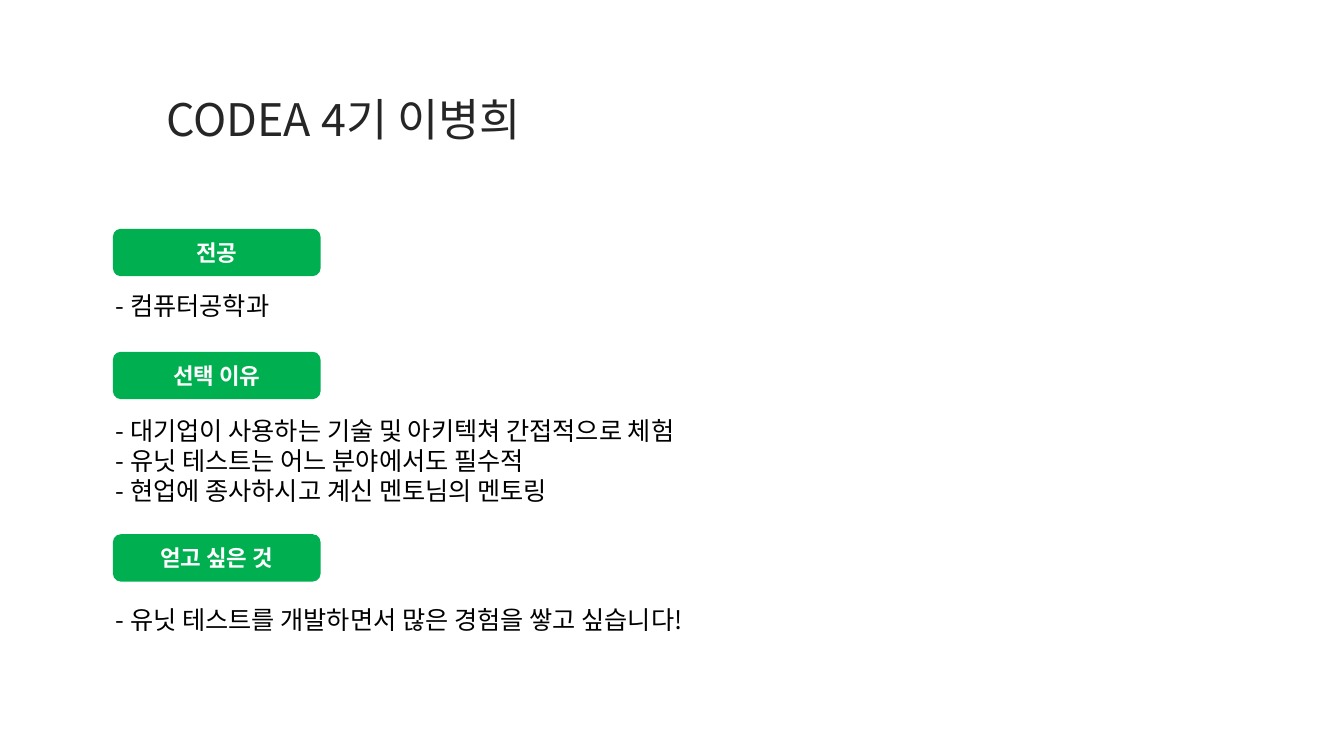
from pptx import Presentation
from pptx.dml.color import RGBColor
from pptx.enum.shapes import MSO_SHAPE
from pptx.enum.text import MSO_ANCHOR, PP_ALIGN
from pptx.oxml.ns import qn
from pptx.util import Inches, Pt

ROUNDED = MSO_SHAPE.ROUNDED_RECTANGLE
MIDDLE, TOP = MSO_ANCHOR.MIDDLE, MSO_ANCHOR.TOP
LEFT, CENTER = PP_ALIGN.LEFT, PP_ALIGN.CENTER

FONT = "Noto Sans CJK KR"
GREEN, WHITE, BLACK, DARK = "00B050", "FFFFFF", "000000", "262626"

TITLE = "CODEA 4기 이병희"
# heading, heading top, list top, list width, list height, items
SECTIONS = [
    ("전공", 2.27, 2.83, 4.75, 0.4, ["컴퓨터공학과"]),
    ("선택 이유", 3.49, 4.07, 11.51, 1.01, [
        "대기업이 사용하는 기술 및 아키텍쳐 간접적으로 체험",
        "유닛 테스트는 어느 분야에서도 필수적",
        "현업에 종사하시고 계신 멘토님의 멘토링",
    ]),
    ("얻고 싶은 것", 5.3, 5.95, 9.74, 0.4,
     ["유닛 테스트를 개발하면서 많은 경험을 쌓고 싶습니다!"]),
]
HEADING_LEFT, HEADING_WIDTH, HEADING_HEIGHT = 1.12, 2.06, 0.47
LIST_LEFT = 1.05


def color(value):
    return RGBColor.from_string(value)


def write(shape, lines, size, ink, bold=False, align=LEFT, anchor=TOP, spacing=None):
    frame = shape.text_frame
    frame.word_wrap = True
    frame.vertical_anchor = anchor
    for index, line in enumerate(lines):
        paragraph = frame.add_paragraph() if index else frame.paragraphs[0]
        paragraph.alignment = align
        if spacing:
            paragraph.line_spacing = Pt(spacing)
        run = paragraph.add_run()
        run.text = line
        font = run.font
        font.name, font.size, font.bold = FONT, Pt(size), bold
        font.color.rgb = color(ink)
        east_asian = run._r.get_or_add_rPr().makeelement(qn("a:ea"), {"typeface": FONT})
        run._r.rPr.find(qn("a:latin")).addnext(east_asian)


def add_text(slide, box, lines, **style):
    write(slide.shapes.add_textbox(*map(Inches, box)), lines, **style)


def add_heading(slide, top, text):
    box = (HEADING_LEFT, top, HEADING_WIDTH, HEADING_HEIGHT)
    shape = slide.shapes.add_shape(ROUNDED, *map(Inches, box))
    shape.shadow.inherit = False
    shape.fill.solid()
    shape.fill.fore_color.rgb = color(GREEN)
    shape.line.fill.background()
    write(shape, [text], size=16, ink=WHITE, bold=True, align=CENTER, anchor=MIDDLE)


def main():
    presentation = Presentation()
    presentation.slide_width, presentation.slide_height = Inches(13.33), Inches(7.5)
    slide = presentation.slides.add_slide(presentation.slide_layouts[6])

    add_text(slide, (1.55, 0.86, 8.28, 0.64), [TITLE], size=32, ink=DARK, anchor=MIDDLE)
    for heading, heading_top, list_top, width, height, items in SECTIONS:
        add_heading(slide, heading_top, heading)
        add_text(slide, (LIST_LEFT, list_top, width, height),
                 [f"- {item}" for item in items], size=18, ink=BLACK, spacing=21.5)

    presentation.save("out.pptx")


if __name__ == "__main__":
    main()
